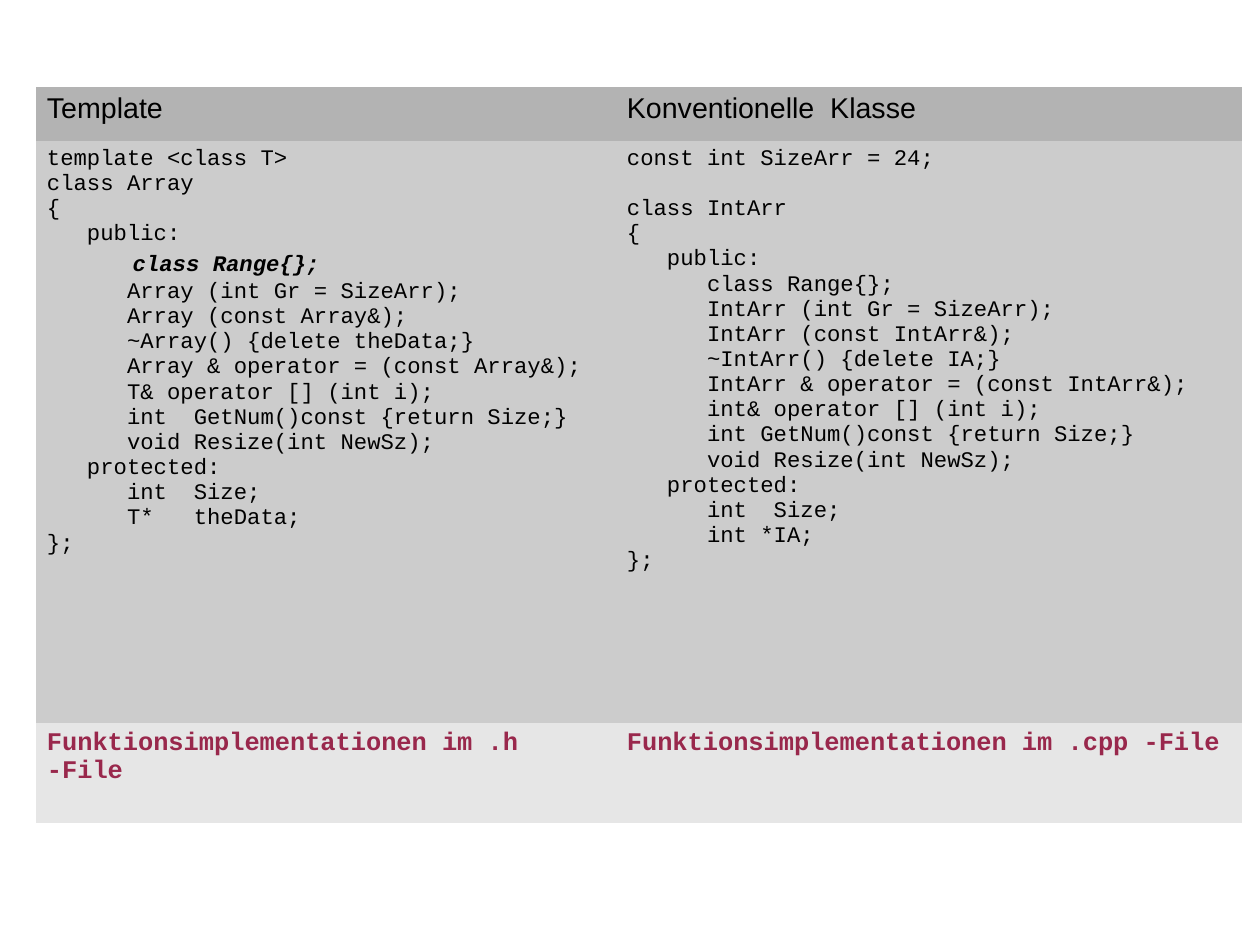
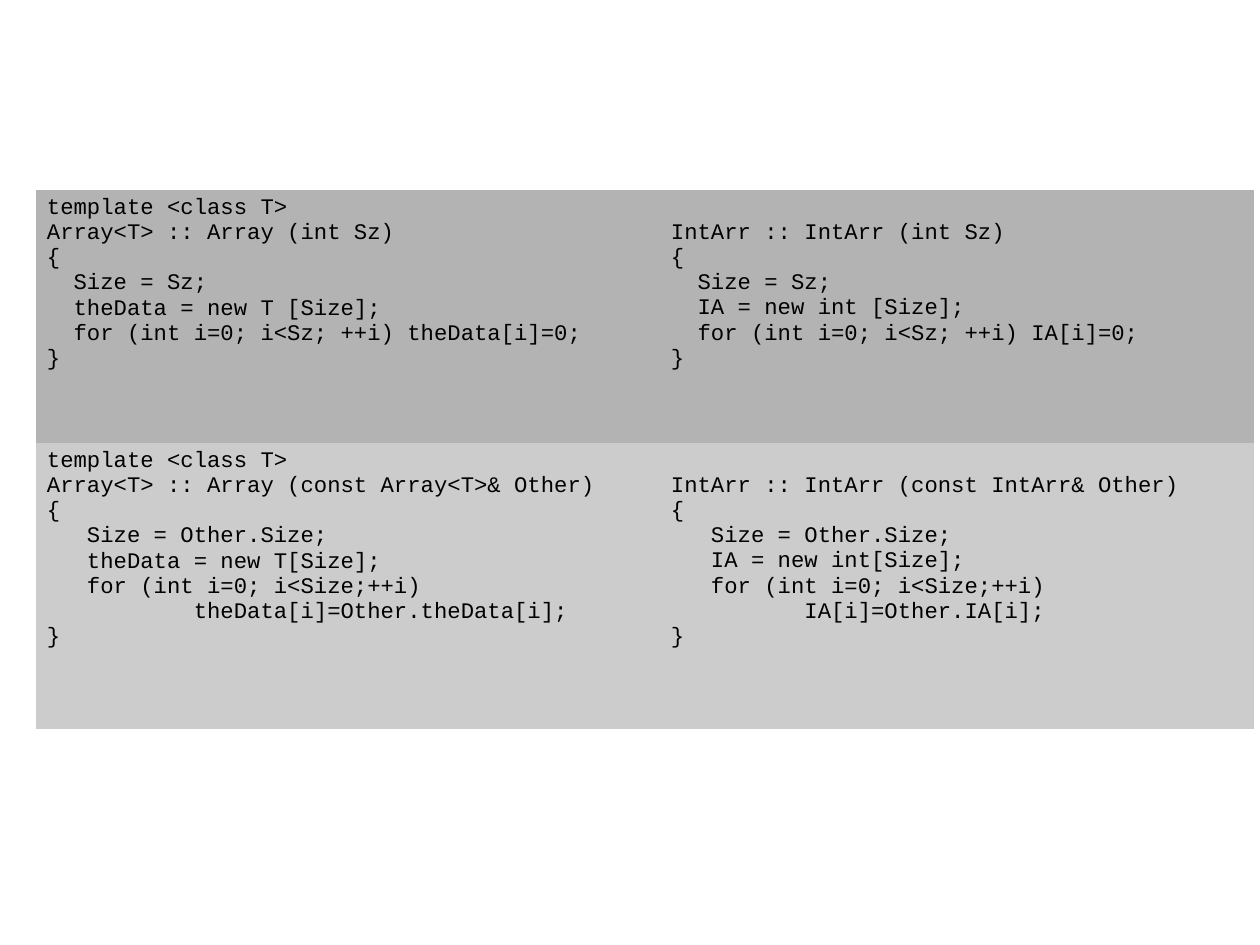
from dataclasses import dataclass

import pptx
import pptx.dml.color
import pptx.oxml.ns
import pptx.presentation
import pptx.util

PX = 8000  # EMU in one px
COLORS = {
    "text": "000000",
    "accent": "99284C",
    "dark": "B3B3B3",
    "middle": "CCCCCC",
    "light": "E6E6E6",
}
PLAIN_TABLE_STYLE = "{2D5ABB26-0587-4C30-8999-92F81FD0307C}"
TABLE_LEFT = 36
CELL_SIDE, CELL_TOP = 11, 6
CODE_LINE = 25  # height of one code line


@dataclass(frozen=True)
class TextStyle:
    font: str
    size: int
    color: str = "text"
    bold: bool = False
    italic: bool = False


HEADING = TextStyle("Arial", 18)
CODE = TextStyle("Courier New", 14)
NEW_CODE = TextStyle("Courier New", 14, bold=True, italic=True)
NEW_INDENT = TextStyle("Courier New", 18, bold=True, italic=True)
FILE_NOTE = TextStyle("Courier New", 16, "accent", bold=True)


@dataclass(frozen=True)
class Cell:
    text: str
    style: TextStyle = CODE
    skipped_lines: int = 0  # code lines left free at the top
    gap_before: str = ""  # line that has a free line above it
    emphasis: str = ""  # line set in bold italics


@dataclass(frozen=True)
class Row:
    height: int
    fill: str
    cells: tuple[Cell, ...]


@dataclass(frozen=True)
class Comparison:
    top: int
    columns: tuple[int, ...]
    rows: tuple[Row, ...]


# Code of the class declarations
TEMPLATE_CLASS = """template <class T>
class Array
{
   public:
     class Range{};
      Array (int Gr = SizeArr);
      Array (const Array&);
      ~Array() {delete theData;}
      Array & operator = (const Array&);
      T& operator [] (int i);
      int  GetNum()const {return Size;}
      void Resize(int NewSz);
   protected:
      int  Size;
      T*   theData;
};"""

PLAIN_CLASS = """const int SizeArr = 24;
class IntArr
{
   public:
      class Range{};
      IntArr (int Gr = SizeArr);
      IntArr (const IntArr&);
      ~IntArr() {delete IA;}
      IntArr & operator = (const IntArr&);
      int& operator [] (int i);
      int GetNum()const {return Size;}
      void Resize(int NewSz);
   protected:
      int  Size;
      int *IA;
};"""

# Code of the constructors
TEMPLATE_CONSTRUCTOR = """template <class T>
Array<T> :: Array (int Sz)
{
  Size = Sz;
  theData = new T [Size];
  for (int i=0; i<Sz; ++i) theData[i]=0;
}"""

PLAIN_CONSTRUCTOR = """IntArr :: IntArr (int Sz)
{
  Size = Sz;
  IA = new int [Size];
  for (int i=0; i<Sz; ++i) IA[i]=0;
}"""

TEMPLATE_COPY_CONSTRUCTOR = """template <class T>
Array<T> :: Array (const Array<T>& Other)
{
   Size = Other.Size;
   theData = new T[Size];
   for (int i=0; i<Size;++i)
           theData[i]=Other.theData[i];
}"""

PLAIN_COPY_CONSTRUCTOR = """IntArr :: IntArr (const IntArr& Other)
{
   Size = Other.Size;
   IA = new int[Size];
   for (int i=0; i<Size;++i)
          IA[i]=Other.IA[i];
}"""

PAGES = (
    Comparison(87, (580, 626), (
        Row(54, "dark", (
            Cell("Template", HEADING),
            Cell("Konventionelle  Klasse", HEADING),
        )),
        Row(582, "middle", (
            Cell(TEMPLATE_CLASS, emphasis="class Range{};"),
            Cell(PLAIN_CLASS, gap_before="class IntArr"),
        )),
        Row(100, "light", (
            Cell("Funktionsimplementationen im .h -File", FILE_NOTE),
            Cell("Funktionsimplementationen im .cpp -File", FILE_NOTE),
        )),
    )),
    Comparison(190, (624, 594), (
        Row(253, "dark", (
            Cell(TEMPLATE_CONSTRUCTOR),
            Cell(PLAIN_CONSTRUCTOR, skipped_lines=1),
        )),
        Row(286, "middle", (
            Cell(TEMPLATE_COPY_CONSTRUCTOR),
            Cell(PLAIN_COPY_CONSTRUCTOR, skipped_lines=1),
        )),
    )),
)


def px(length: int) -> pptx.util.Emu:
    return pptx.util.Emu(length * PX)


def rgb(name: str) -> pptx.dml.color.RGBColor:
    return pptx.dml.color.RGBColor.from_string(COLORS[name])


def format_span(span, style: TextStyle) -> None:
    span.font.name = style.font
    span.font.size = pptx.util.Pt(style.size)
    span.font.bold = style.bold
    span.font.italic = style.italic
    span.font.color.rgb = rgb(style.color)


def emphasize(para, line: str) -> None:
    """Split the line into a wide indent and the bold italic code."""
    code = line.lstrip()
    para.text = line[:len(line) - len(code)]
    format_span(para.runs[0], NEW_INDENT)
    span = para.add_run()
    span.text = code
    format_span(span, NEW_CODE)


def fill_cell(box, cell: Cell, fill: str) -> None:
    box.fill.solid()
    box.fill.fore_color.rgb = rgb(fill)
    box.margin_left = box.margin_right = px(CELL_SIDE)
    box.margin_top = px(CELL_TOP + cell.skipped_lines * CODE_LINE)
    box.margin_bottom = px(CELL_TOP)
    box.text_frame.text = cell.text
    for para in box.text_frame.paragraphs:
        line = para.text
        if cell.emphasis and line.strip() == cell.emphasis:
            emphasize(para, line)
            continue
        if cell.gap_before and line == cell.gap_before:
            para.space_before = px(CODE_LINE)
        for span in para.runs:
            format_span(span, cell.style)


def draw_comparison(page, comparison: Comparison) -> None:
    rows, columns = comparison.rows, comparison.columns
    frame = page.shapes.add_table(
        len(rows), len(columns), px(TABLE_LEFT), px(comparison.top),
        px(sum(columns)), px(sum(row.height for row in rows)))
    table = frame.table
    table.first_row = table.horz_banding = False
    for style_id in frame.element.iter(pptx.oxml.ns.qn("a:tableStyleId")):
        style_id.text = PLAIN_TABLE_STYLE
    for column, width in zip(table.columns, columns):
        column.width = px(width)
    for row_index, row in enumerate(rows):
        table.rows[row_index].height = px(row.height)
        for column_index, cell in enumerate(row.cells):
            fill_cell(table.cell(row_index, column_index), cell, row.fill)


def main() -> None:
    deck = pptx.Presentation()
    deck.slide_width, deck.slide_height = px(1260), px(945)
    for comparison in PAGES:
        page = deck.slides.add_slide(deck.slide_layouts[6])
        draw_comparison(page, comparison)
    deck.save("out.pptx")


if __name__ == "__main__":
    main()
